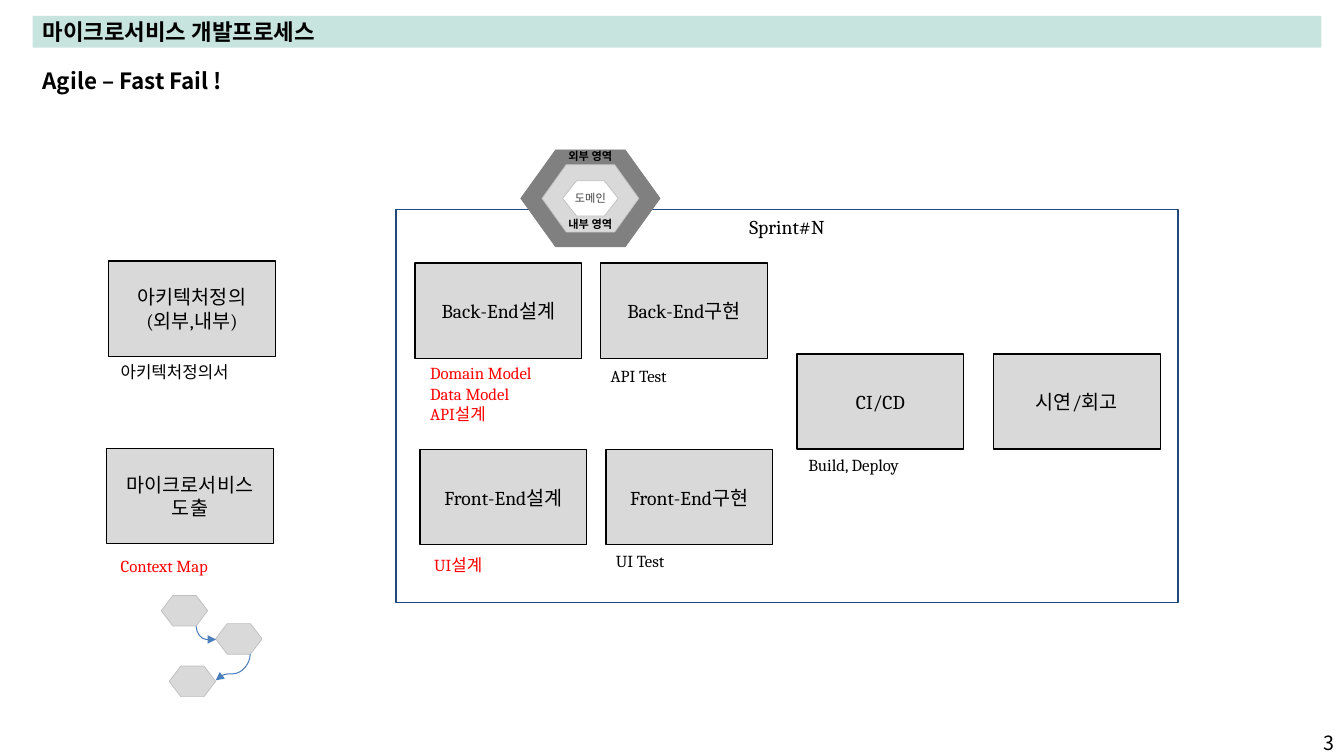
from lxml import etree
from pptx import Presentation
from pptx.dml.color import RGBColor
from pptx.enum.shapes import MSO_CONNECTOR, MSO_SHAPE
from pptx.enum.text import MSO_ANCHOR, MSO_AUTO_SIZE, PP_ALIGN
from pptx.oxml.ns import qn
from pptx.util import Cm, Pt

LEFT, CENTER, RIGHT = PP_ALIGN.LEFT, PP_ALIGN.CENTER, PP_ALIGN.RIGHT
TOP, MIDDLE = MSO_ANCHOR.TOP, MSO_ANCHOR.MIDDLE
NO_AUTOFIT = MSO_AUTO_SIZE.NONE
RECTANGLE = MSO_SHAPE.RECTANGLE
CURVE = MSO_CONNECTOR.CURVE
SERIF, SANS = "Cambria", "Noto Sans CJK KR"
BLACK, RED, GRAY, SILVER = "000000", "FF0000", "D9D9D9", "BFBFBF"
color = RGBColor.from_string


def write(shape, text, size, name=SERIF, text_color=BLACK, bold=False,
          align=LEFT, anchor=TOP, inset=0.13):
    frame = shape.text_frame
    frame.text = text
    frame.word_wrap = True
    frame.auto_size = NO_AUTOFIT
    frame.vertical_anchor = anchor
    frame.margin_top = frame.margin_bottom = Cm(inset)
    for paragraph in frame.paragraphs:
        paragraph.alignment = align
        paragraph.space_before = Pt(0)
        properties = paragraph._p.get_or_add_pPr()
        properties.set("marL", "0")
        properties.set("indent", "0")
        etree.SubElement(properties, qn("a:buNone"))
        font = paragraph.font
        font.size, font.bold, font.name = Pt(size), bold, name
        font.color.rgb = color(text_color)
        # Korean glyphs always use the sans font
        etree.SubElement(properties.find(qn("a:defRPr")), qn("a:ea"), typeface=SANS)


def add_hexagon(center_x, center_y, width, height, fill, line=SILVER):
    left, right = center_x - width / 2, center_x + width / 2
    top, bottom = center_y - height / 2, center_y + height / 2
    corner = width / 4
    points = [(right - corner, top), (right, center_y), (right - corner, bottom),
              (left + corner, bottom), (left, center_y), (left + corner, top)]
    points = [(Cm(x), Cm(y)) for x, y in points]
    builder = slide.shapes.build_freeform(*points[0], scale=1.0)
    builder.add_line_segments(points[1:], close=True)
    hexagon = builder.convert_to_shape()
    hexagon.shadow.inherit = False
    hexagon.fill.solid()
    hexagon.fill.fore_color.rgb = color(fill)
    hexagon.line.color.rgb = color(line)
    hexagon.line.width = Pt(0.5)


presentation = Presentation()
presentation.slide_width, presentation.slide_height = Cm(33.87), Cm(19.05)
slide = presentation.slides.add_slide(presentation.slide_layouts[1])

# Title bar and subtitle
title, subtitle = slide.placeholders
for shape, top, height in ((title, 0.4, 0.8), (subtitle, 1.57, 0.95)):
    shape.left, shape.top, shape.width, shape.height = Cm(0.82), Cm(top), Cm(32.48), Cm(height)
title.fill.solid()
title.fill.fore_color.rgb = color("C8E4DF")
write(title, "마이크로서비스 개발프로세스", 16, SANS, bold=True, anchor=MIDDLE, inset=0)
write(subtitle, "Agile – Fast Fail !", 16, SANS, bold=True)

# Page number
number = slide.shapes.add_textbox(Cm(32.17), Cm(18.39), Cm(1.7), Cm(0.66))
write(number, "3", 14, SANS, align=RIGHT, anchor=MIDDLE, inset=0)

# Process steps
steps = [
    ("아키텍처정의\n(외부,내부)", 2.74, 6.58),
    ("마이크로서비스\n도출", 2.69, 11.3),
    ("Back-End설계", 10.46, 6.63),
    ("Front-End설계", 10.59, 11.33),
    ("Back-End구현", 15.14, 6.63),
    ("Front-End구현", 15.27, 11.33),
    ("CI/CD", 20.09, 8.92),
    ("시연/회고", 25.04, 8.92),
]
for text, left, top in steps:
    step = slide.shapes.add_shape(RECTANGLE, Cm(left), Cm(top), Cm(4.2), Cm(2.4))
    step.shadow.inherit = False
    step.fill.solid()
    step.fill.fore_color.rgb = color(GRAY)
    step.line.color.rgb = color(BLACK)
    step.line.width = Pt(1)
    write(step, text, 14, align=CENTER, anchor=MIDDLE)

# Sprint frame
sprint = slide.shapes.add_shape(RECTANGLE, Cm(9.98), Cm(5.28), Cm(19.71), Cm(9.91))
sprint.shadow.inherit = False
sprint.fill.background()
sprint.line.color.rgb = color("1F497D")
sprint.line.width = Pt(1)
write(sprint, "Sprint#N", 14, align=CENTER)

# Deliverables under the steps
deliverables = [
    ("아키텍처정의서", 2.79, 8.99, 0.77, BLACK),
    ("Context Map", 2.79, 13.87, 0.77, RED),
    ("Domain Model\nData Model\nAPI설계", 10.59, 9.02, 1.8, RED),
    ("UI설계", 10.69, 13.84, 0.77, RED),
    ("API Test", 15.14, 9.09, 0.77, BLACK),
    ("UI Test", 15.27, 13.74, 0.77, BLACK),
    ("Build, Deploy", 20.12, 11.33, 0.77, BLACK),
]
for text, left, top, height, text_color in deliverables:
    label = slide.shapes.add_textbox(Cm(left), Cm(top), Cm(3.5), Cm(height))
    write(label, text, 12, text_color=text_color)

# Nested domain hexagon
domain_x, domain_y = 14.88, 5
add_hexagon(domain_x, domain_y, 3.51, 2.44, "808080", "808080")
add_hexagon(domain_x, domain_y, 2.44, 1.7, GRAY)
add_hexagon(domain_x, domain_y, 1.4, 0.89, "FFFFFF")
for text, top, text_color, bold in (("외부 영역", 3.76, BLACK, True),
                                    ("내부 영역", 5.49, BLACK, True),
                                    ("도메인", 4.83, "404040", False)):
    label = slide.shapes.add_textbox(Cm(domain_x - 0.8), Cm(top), Cm(1.6), Cm(0.33))
    label.text_frame.margin_left = label.text_frame.margin_right = 0
    write(label, text, 8, text_color=text_color, bold=bold,
          align=CENTER, anchor=MIDDLE, inset=0)

# Context map
for center_x, center_y in ((4.65, 15.39), (6.02, 16.1), (4.85, 17.17)):
    add_hexagon(center_x, center_y, 1.17, 0.77, GRAY)

# Curved arrows: unrotated begin and end, rotation in degrees, bend
arrows = [
    (5.36, 15.7, 5.03, 16.2, 270, 99600),
    (5.54, 16.38, 6.2, 17.25, 90, 75000),
]
for begin_x, begin_y, end_x, end_y, rotation, bend in arrows:
    arrow = slide.shapes.add_connector(CURVE, Cm(begin_x), Cm(begin_y), Cm(end_x), Cm(end_y))
    arrow.line.color.rgb = color("4B7EBC")
    arrow.line.width = Pt(0.75)
    properties = arrow._element.spPr
    properties.find(qn("a:xfrm")).set("rot", str(rotation * 60000))
    adjustments = properties.find(qn("a:prstGeom")).find(qn("a:avLst"))
    etree.SubElement(adjustments, qn("a:gd"), name="adj1", fmla=f"val {bend}")
    etree.SubElement(properties.find(qn("a:ln")), qn("a:tailEnd"), type="triangle")
    etree.SubElement(properties, qn("a:effectLst"))

presentation.save("out.pptx")
